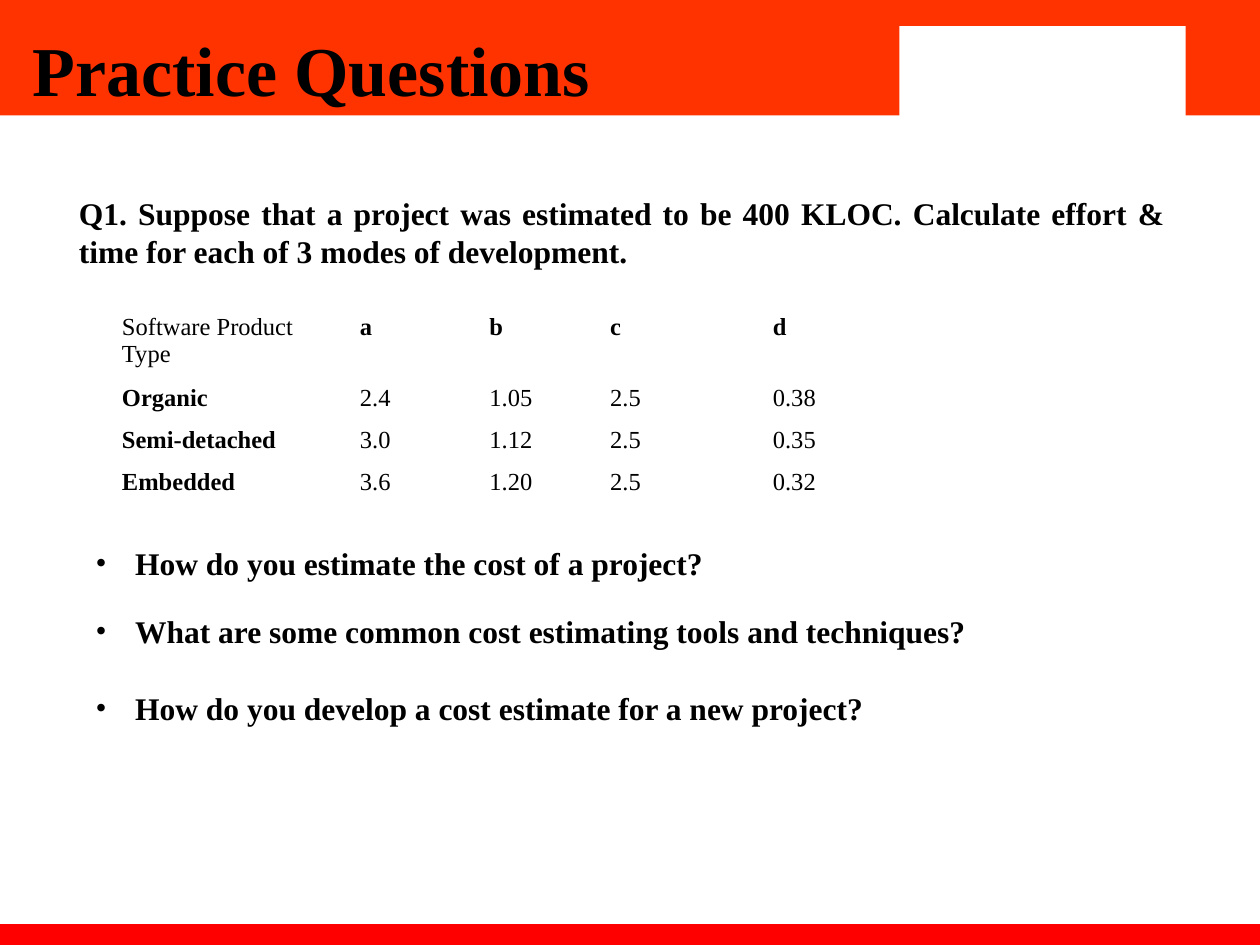
from lxml.etree import SubElement as Sub
from pptx import Presentation
from pptx.dml.color import RGBColor as RGB
from pptx.enum.shapes import MSO_SHAPE as Kind
from pptx.enum.text import MSO_ANCHOR as Anchor, MSO_AUTO_SIZE as Auto, PP_ALIGN as Align
from pptx.oxml.ns import qn
from pptx.util import Pt

INK, BAND, FOOT, PAPER = "000000", "FF3300", "FF0000", "FFFFFF"
ROWS = [
    ["Software Product Type", "a", "b", "c", "d"],
    ["Organic", "2.4", "1.05", "2.5", "0.38"],
    ["Semi-detached", "3.0", "1.12", "2.5", "0.35"],
    ["Embedded", "3.6", "1.20", "2.5", "0.32"],
]
ASK = ("Q1. Suppose that a project was estimated to be 400 KLOC. "
       "Calculate effort & time for each of 3 modes of development.")
LIST = [
    ("How do you estimate the cost of a project?", 0),
    ("What are some common cost estimating tools and techniques?", 17.2),
    ("How do you develop a cost estimate for a new project?", 22.4),
]


def color(code):
    """Turn a hex string into a colour."""
    return RGB.from_string(code)


def apply(item, look):
    """Set each attribute named in a dict."""
    for name, value in look.items():
        setattr(item, name, value)


def write(para, text, size, bold=True):
    """Write one run into a paragraph."""
    run = para.add_run()
    run.text = text
    apply(run.font, {"name": "Times New Roman", "size": Pt(size), "bold": bold})
    run.font.color.rgb = color(INK)


def place(shape, box):
    """Move a shape to a box and prepare its text frame."""
    apply(shape, dict(zip(("left", "top", "width", "height"), map(Pt, box))))
    apply(shape.text_frame, {"word_wrap": True, "auto_size": Auto.NONE,
                             "vertical_anchor": Anchor.TOP})


def block(slide, box, fill):
    """Draw a plain filled rectangle."""
    shape = slide.shapes.add_shape(Kind.RECTANGLE, *map(Pt, box))
    shape.shadow.inherit = False
    shape.fill.solid()
    shape.fill.fore_color.rgb = color(fill)
    shape.line.fill.background()


def header(slide, box):
    """Draw the top band with its white panel and the title."""
    left, top, width, height = box
    block(slide, box, BAND)
    block(slide, (left + 514, top + 15, 163.5, 54), PAPER)
    title = slide.shapes.title
    place(title, (left + 11.5, top + 11.5, 515.5, 55.5))
    para = title.text_frame.paragraphs[0]
    para.alignment = Align.LEFT
    write(para, "Practice Questions", 40)
    slide.shapes.element.append(title.element)


def modes(slide, box):
    """Build the table of coefficients for each mode."""
    table = slide.shapes.add_table(len(ROWS), len(ROWS[0]), *map(Pt, box)).table
    apply(table, {"first_row": False, "horz_banding": False})
    for col, width in zip(table.columns, (136, 74, 69, 93, 93)):
        col.width = Pt(width)
    for row, high in zip(table.rows, (40.6, 24, 24, 24)):
        row.height = Pt(high)
    for r, row in enumerate(ROWS):
        for c, text in enumerate(row):
            cell = table.cell(r, c)
            cell.fill.background()
            write(cell.text_frame.paragraphs[0], text, 14, (r == 0) != (c == 0))


def question(slide, box):
    """Write the justified question."""
    shape = slide.shapes.add_textbox(*map(Pt, box))
    place(shape, box)
    para = shape.text_frame.paragraphs[0]
    para.alignment = Align.JUSTIFY
    write(para, ASK, 18)


def bullets(slide, box):
    """Fill the body placeholder with the bulleted questions."""
    body = slide.placeholders[1]
    place(body, box)
    frame = body.text_frame
    for i, (text, gap) in enumerate(LIST):
        para = frame.add_paragraph() if i else frame.paragraphs[0]
        para.space_before = Pt(gap)
        props = para._p.get_or_add_pPr()
        props.set("marL", str(Pt(22.5)))
        props.set("indent", str(-Pt(22.5)))
        tint = Sub(props, qn("a:buClr"))
        Sub(tint, qn("a:srgbClr"), val=INK)
        Sub(props, qn("a:buFont"), typeface="Times New Roman")
        Sub(props, qn("a:buChar"), char="•")
        write(para, text, 18)
    slide.shapes.element.append(body.element)


def main():
    """Build the practice slide."""
    deck = Presentation()
    apply(deck, {"slide_width": Pt(720), "slide_height": Pt(540)})
    slide = deck.slides.add_slide(deck.slide_layouts[1])
    header(slide, (0, 0, 720, 66))
    block(slide, (0, 528, 720, 12), FOOT)
    modes(slide, (62.5, 175.5, 465, 112.6))
    question(slide, (38, 107.5, 635, 51))
    bullets(slide, (47.5, 307.5, 568, 110))
    deck.save("out.pptx")


if __name__ == "__main__":
    main()
